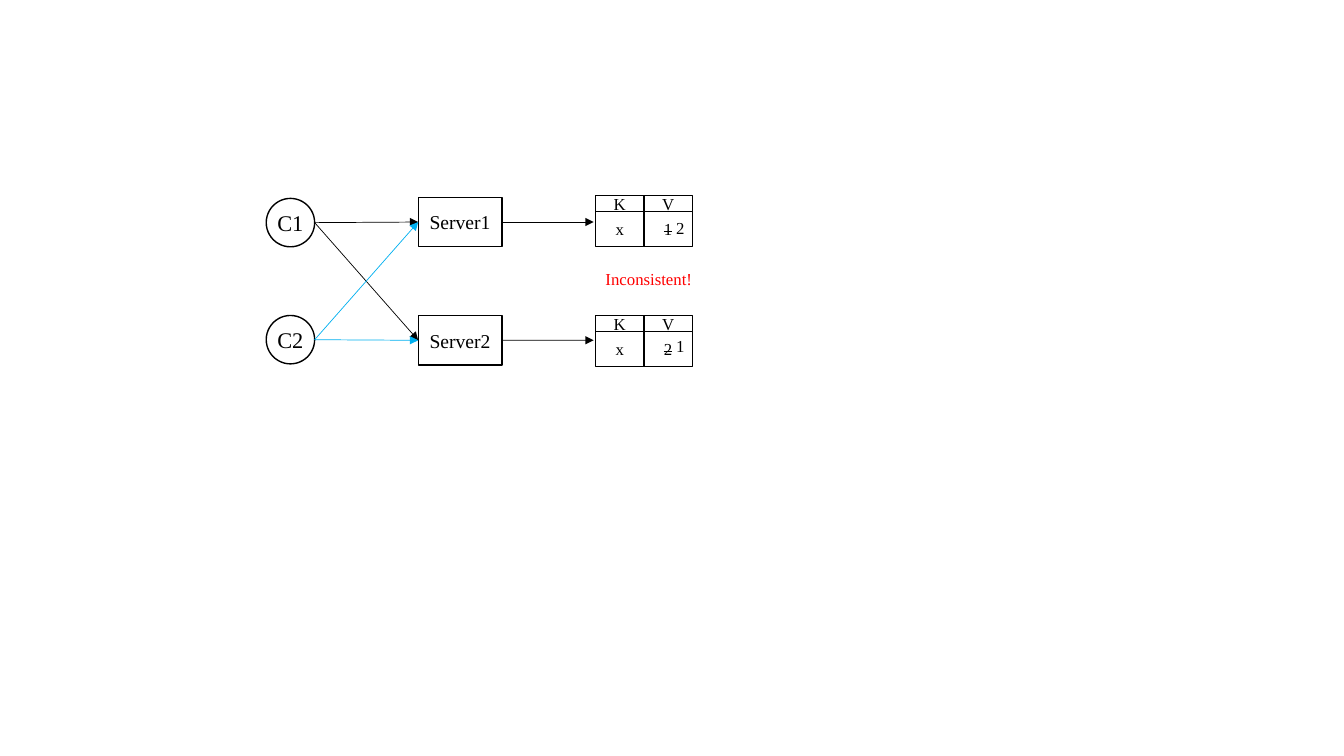
from lxml.etree import SubElement
from pptx import Presentation
from pptx.dml.color import RGBColor
from pptx.enum.shapes import MSO_CONNECTOR as Connector, MSO_SHAPE as Shape
from pptx.enum.text import MSO_ANCHOR as Anchor, PP_ALIGN as Align
from pptx.oxml.ns import qn
from pptx.util import Cm, Pt

COLORS = {"black": "000000", "white": "FFFFFF", "blue": "00B0F0", "red": "FF0000"}
FONT = "Times New Roman"

ROWS = [
    {"client": "C1", "client_top": 5.0, "server": "Server1", "server_top": 4.97,
     "store_top": 4.93, "old": "1", "new": "2", "new_top": 5.36, "color": "black"},
    {"client": "C2", "client_top": 7.95, "server": "Server2", "server_top": 7.95,
     "store_top": 7.95, "old": "2", "new": "1", "new_top": 8.33, "color": "blue"},
]
VERDICT = "Inconsistent!"

CLIENT_LEFT, CLIENT_SIZE = 6.71, 1.22
SERVER_LEFT, SERVER_WIDTH, SERVER_HEIGHT = 10.54, 2.11, 1.25
STORE_LEFT, COLUMN_WIDTH = 15.01, 1.22
HEADER_HEIGHT, VALUE_HEIGHT = 0.4, 0.89
WRITE_END = 14.96


def rgb(name):
    return RGBColor.from_string(COLORS[name])


def write(shape, text, size, color="black", align=Align.CENTER):
    shape.text_frame.vertical_anchor = Anchor.MIDDLE
    paragraph = shape.text_frame.paragraphs[0]
    paragraph.alignment = align
    run = paragraph.add_run()
    run.text = text
    paragraph.font.name = FONT
    paragraph.font.size = Pt(size)
    paragraph.font.color.rgb = rgb(color)
    return run


def add_node(shapes, kind, left, top, width, height, text, size):
    shape = shapes.add_shape(kind, Cm(left), Cm(top), Cm(width), Cm(height))
    shape.shadow.inherit = False
    shape.fill.solid()
    shape.fill.fore_color.rgb = rgb("white")
    shape.line.color.rgb = rgb("black")
    shape.line.width = Pt(1)
    shape.text_frame.word_wrap = False
    return shape, write(shape, text, size)


def add_label(shapes, left, top, width, text, color="black"):
    box = shapes.add_textbox(Cm(left), Cm(top), Cm(width), Cm(0.77))
    box.text_frame.word_wrap = True
    write(box, text, 12, color, Align.LEFT)


def add_arrow(shapes, begin, end, color):
    arrow = shapes.add_connector(Connector.STRAIGHT, *map(Cm, begin + end))
    arrow.line.color.rgb = rgb(color)
    arrow.line.width = Pt(0.5)
    SubElement(arrow.line._get_or_add_ln(), qn("a:tailEnd"), type="triangle")
    SubElement(arrow._element.spPr, qn("a:effectLst"))
    return arrow


def add_store(shapes, top, old):
    group = shapes.add_group_shape()
    bands = [(top, HEADER_HEIGHT, ("K", "V")),
             (top + HEADER_HEIGHT, VALUE_HEIGHT, ("x", old))]
    for band_top, height, texts in bands:
        for column, text in enumerate(texts):
            left = STORE_LEFT + column * COLUMN_WIDTH
            _, run = add_node(group.shapes, Shape.RECTANGLE, left, band_top,
                              COLUMN_WIDTH, height, text, 12)
    run._r.get_or_add_rPr().set("strike", "sngStrike")


def main():
    presentation = Presentation()
    presentation.slide_width, presentation.slide_height = Cm(33.87), Cm(19.05)
    slide = presentation.slides.add_slide(presentation.slide_layouts[6])
    shapes = slide.shapes

    servers = []
    for row in ROWS:
        server, _ = add_node(shapes, Shape.RECTANGLE, SERVER_LEFT, row["server_top"],
                             SERVER_WIDTH, SERVER_HEIGHT, row["server"], 14)
        middle = row["server_top"] + SERVER_HEIGHT / 2
        servers.append((server, middle))
        add_store(shapes, row["store_top"], row["old"])
        add_node(shapes, Shape.OVAL, CLIENT_LEFT, row["client_top"],
                 CLIENT_SIZE, CLIENT_SIZE, row["client"], 16)

    for row in ROWS:
        begin = (CLIENT_LEFT + CLIENT_SIZE, row["client_top"] + CLIENT_SIZE / 2)
        for server, middle in servers:
            request = add_arrow(shapes, begin, (SERVER_LEFT, middle), row["color"])
            request.end_connect(server, 1)

    for server, middle in servers:
        begin = (SERVER_LEFT + SERVER_WIDTH, middle)
        update = add_arrow(shapes, begin, (WRITE_END, middle), "black")
        update.begin_connect(server, 3)

    for row in ROWS:
        add_label(shapes, 16.79, row["new_top"], 0.66, row["new"])
    add_label(shapes, STORE_LEFT, 6.65, 3.1, VERDICT, "red")

    presentation.save("out.pptx")


if __name__ == "__main__":
    main()
